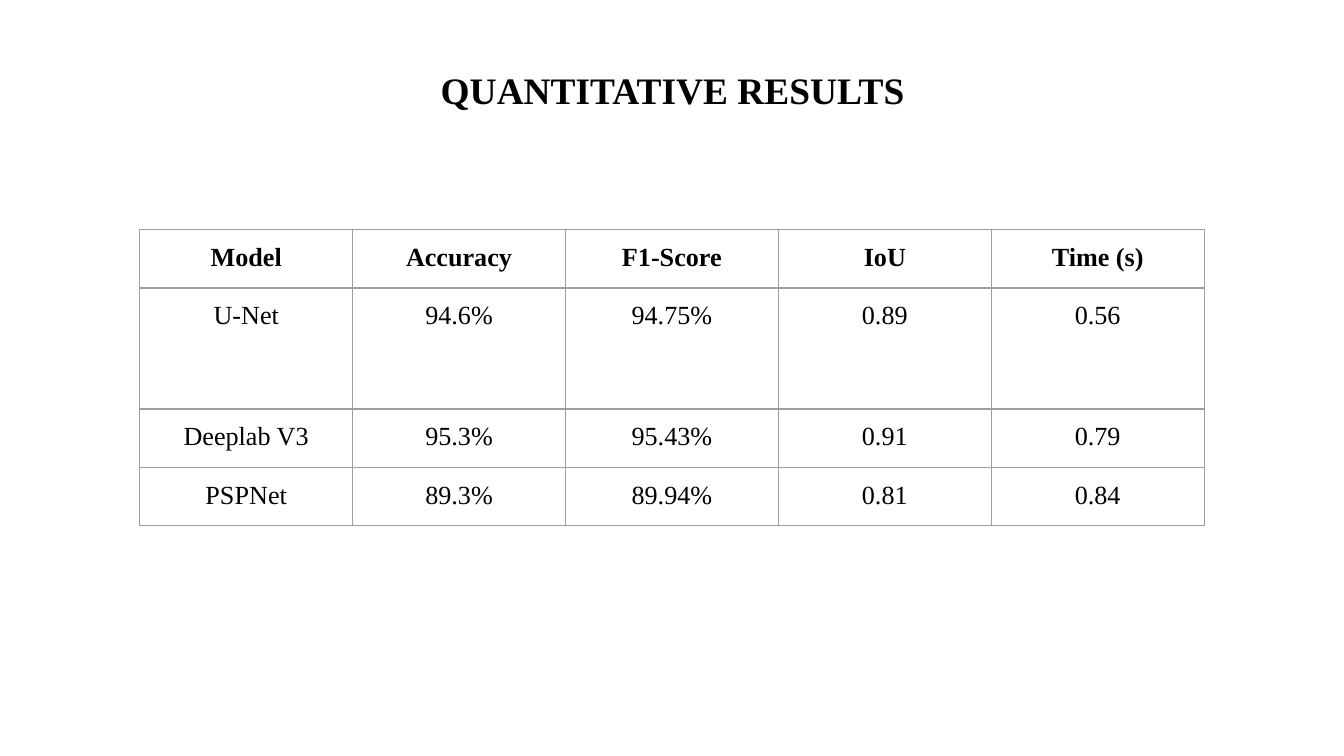
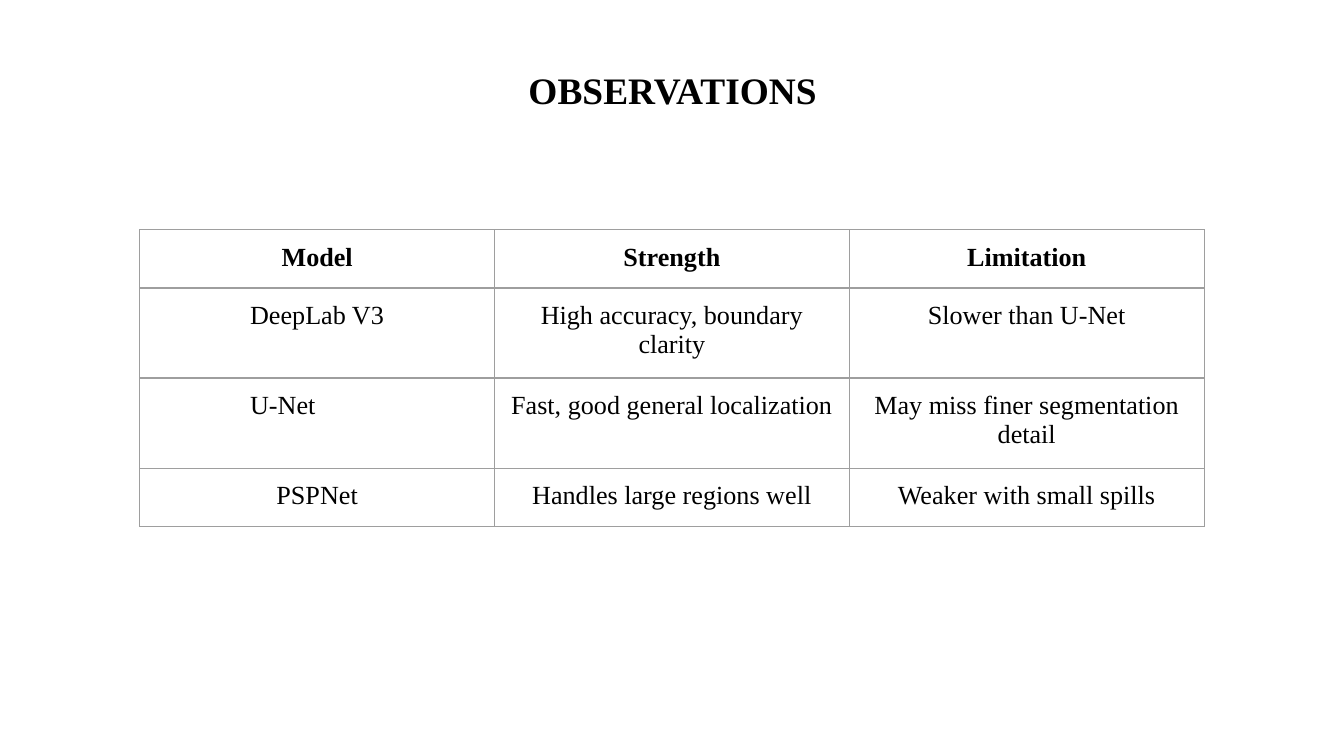
from pptx import Presentation
from pptx.dml.color import RGBColor
from pptx.enum.text import MSO_ANCHOR, PP_ALIGN
from pptx.oxml.ns import qn
from pptx.util import Inches, Pt
from lxml.etree import SubElement

COLORS = {"background": "FFFFFF", "text": "000000", "grid": "9E9E9E"}
FONT = "Times New Roman"
PADDING = Inches(0.1)
TABLE_LEFT, TABLE_TOP, TABLE_WIDTH = 1.04, 1.71, 7.92
GRID_WIDTH = Pt(0.75)

RESULTS = [
    ["Model", "Accuracy", "F1-Score", "IoU", "Time (s)"],
    ["U-Net", "94.6%", "94.75%", "0.89", "0.56"],
    ["Deeplab V3", "95.3%", "95.43%", "0.91", "0.79"],
    ["PSPNet", "89.3%", "89.94%", "0.81", "0.84"],
]
RESULT_HEIGHTS = [0.43, 0.9, 0.43, 0.43]

OBSERVATIONS = [
    ["Model", "Strength", "Limitation"],
    ["DeepLab V3", "High accuracy, boundary clarity", "Slower than U-Net"],
    ["U-Net", "Fast, good general localization", "May miss finer segmentation detail"],
    ["PSPNet", "Handles large regions well", "Weaker with small spills"],
]
OBSERVATION_HEIGHTS = [0.43, 0.67, 0.67, 0.43]


def write(frame, text, size, bold=False):
    """Fill a text frame with one centred paragraph."""
    frame.text = text
    frame.word_wrap = True
    paragraph = frame.paragraphs[0]
    paragraph.alignment = PP_ALIGN.CENTER
    font = paragraph.runs[0].font
    font.name, font.size, font.bold = FONT, Pt(size), bold
    font.color.rgb = RGBColor.from_string(COLORS["text"])


def set_padding(holder):
    holder.margin_left = holder.margin_right = PADDING
    holder.margin_top = holder.margin_bottom = PADDING


def draw_borders(cell):
    properties = cell._tc.get_or_add_tcPr()
    for position, side in enumerate(("a:lnL", "a:lnR", "a:lnT", "a:lnB")):
        line = SubElement(properties, qn(side), w=str(GRID_WIDTH))
        fill = SubElement(line, qn("a:solidFill"))
        SubElement(fill, qn("a:srgbClr"), val=COLORS["grid"])
        properties.insert(position, line)  # borders come before the fill


def add_titled_slide(prs, title):
    slide = prs.slides.add_slide(prs.slide_layouts[6])
    slide.background.fill.solid()
    slide.background.fill.fore_color.rgb = RGBColor.from_string(COLORS["background"])
    heading = slide.shapes.add_textbox(Inches(3.06), Inches(0.4), Inches(3.89), Inches(0.54))
    set_padding(heading.text_frame)
    write(heading.text_frame, title, 20, bold=True)
    return slide


def add_grid(slide, rows, heights):
    """Add a table with equal columns and a bold first row."""
    columns = len(rows[0])
    table = slide.shapes.add_table(
        len(rows), columns, Inches(TABLE_LEFT), Inches(TABLE_TOP),
        Inches(TABLE_WIDTH), Inches(sum(heights))).table
    table.first_row = table.horz_banding = False
    for column in table.columns:
        column.width = Inches(TABLE_WIDTH / columns)
    for r, (values, height) in enumerate(zip(rows, heights)):
        table.rows[r].height = Inches(height)
        for c, value in enumerate(values):
            cell = table.cell(r, c)
            set_padding(cell)
            cell.vertical_anchor = MSO_ANCHOR.TOP
            cell.fill.background()
            draw_borders(cell)
            write(cell.text_frame, value, 14, bold=r == 0)
    return table


def indent_left(cell, indent):
    paragraph = cell.text_frame.paragraphs[0]
    paragraph.alignment = PP_ALIGN.LEFT
    paragraph._p.get_or_add_pPr().set("marL", str(Inches(indent)))


def main():
    prs = Presentation()
    prs.slide_width = Inches(10)
    prs.slide_height = Inches(10 * 9 / 16)  # widescreen

    # Quantitative results
    add_grid(add_titled_slide(prs, "QUANTITATIVE RESULTS"), RESULTS, RESULT_HEIGHTS)

    # Observations: U-Net starts level with DeepLab V3 above it
    observations = add_grid(
        add_titled_slide(prs, "OBSERVATIONS"), OBSERVATIONS, OBSERVATION_HEIGHTS)
    indent_left(observations.cell(2, 0), 0.72)

    prs.save("out.pptx")


if __name__ == "__main__":
    main()
